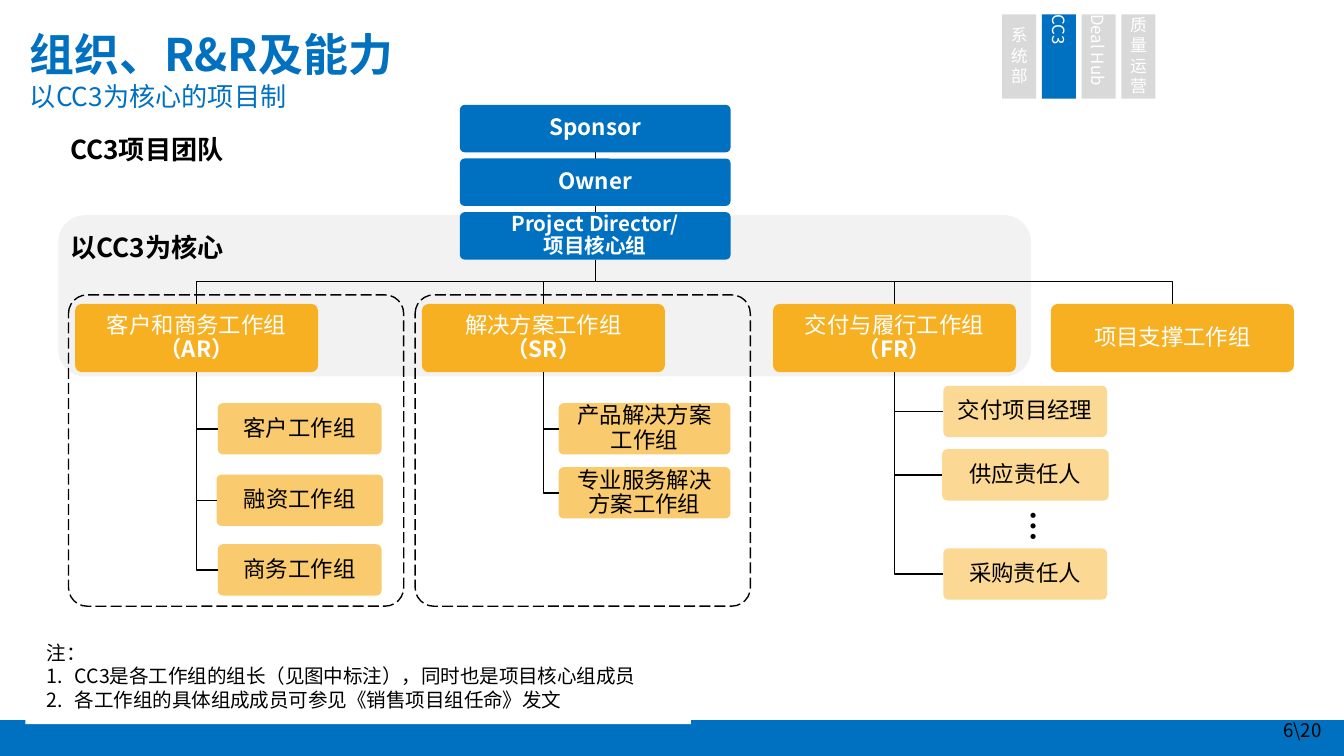
from dataclasses import dataclass

from lxml import etree
from pptx import Presentation
from pptx.dml.color import RGBColor
from pptx.enum.dml import MSO_LINE
from pptx.enum.shapes import MSO_CONNECTOR, MSO_SHAPE
from pptx.enum.text import MSO_ANCHOR, MSO_AUTO_SIZE, PP_ALIGN
from pptx.oxml.ns import qn
from pptx.util import Pt

RECT, ROUND = MSO_SHAPE.RECTANGLE, MSO_SHAPE.ROUNDED_RECTANGLE
STRAIGHT, ELBOW = MSO_CONNECTOR.STRAIGHT, MSO_CONNECTOR.ELBOW
LEFT, CENTER = PP_ALIGN.LEFT, PP_ALIGN.CENTER
TOP, MIDDLE = MSO_ANCHOR.TOP, MSO_ANCHOR.MIDDLE
LONG_DASH = MSO_LINE.LONG_DASH
NO_FIT = MSO_AUTO_SIZE.NONE
SIDE_TOP, SIDE_LEFT, SIDE_BOTTOM = 0, 1, 2

FONT = "Noto Sans CJK SC"
BLUE, ORANGE, AMBER, SAND = "0070C0", "F7B021", "FACB6E", "FBD893"
BLACK, WHITE, PALE, GRAY = "000000", "FFFFFF", "F2F2F2", "D9D9D9"


@dataclass
class Box:
    x: float
    y: float
    w: float
    h: float
    lines: tuple = ()
    fill: str | None = None
    color: str = BLACK
    size: float = 12
    bold: bool = False
    last_bold: bool = False
    align: PP_ALIGN = CENTER
    anchor: MSO_ANCHOR = MIDDLE
    insets: tuple = (0, 3, 0, 3)
    spacing: float | None = 0.9
    vertical: bool = False


@dataclass
class Team:
    x: float
    lines: tuple
    members: tuple = ()
    fill: str = AMBER


@dataclass
class Member:
    x: float
    y: float
    w: float
    lines: tuple


TEAMS = [
    Team(40.2, ("客户和商务工作组", "（AR）"), (
        Member(116.7, 216, 87.7, ("客户工作组",)),
        Member(116, 254.3, 89.2, ("融资工作组",)),
        Member(116.7, 291.6, 87.7, ("商务工作组",)))),
    Team(226, ("解决方案工作组", "（SR）"), (
        Member(299.3, 216, 92, ("产品解决方案", "工作组")),
        Member(299.3, 250.3, 92, ("专业服务解决", "方案工作组")))),
    Team(414.1, ("交付与履行工作组", "（FR）"), (
        Member(505.4, 206.7, 87.7, ("交付项目经理",)),
        Member(504.7, 240.7, 89.2, ("供应责任人",)),
        Member(505.4, 293.8, 87.7, ("采购责任人",))), SAND),
    Team(563, ("项目支撑工作组",)),
]
TABS = [("系统部", GRAY, False), ("CC3", BLUE, True),
        ("Deal Hub", GRAY, True), ("质量运营", GRAY, False)]


def rgb(value: str) -> RGBColor:
    return RGBColor.from_string(value)


def set_font(font, rpr, size: float, color: str, bold: bool) -> None:
    font.size, font.bold, font.name = Pt(size), bold, FONT
    font.color.rgb = rgb(color)
    etree.SubElement(rpr, qn("a:ea")).set("typeface", FONT)


def set_frame(tf, insets: tuple, anchor: MSO_ANCHOR) -> None:
    tf.word_wrap, tf.auto_size, tf.vertical_anchor = True, NO_FIT, anchor
    tf.margin_left, tf.margin_top, tf.margin_right, tf.margin_bottom = map(Pt, insets)


def add_text(sp, box: Box) -> None:
    tf = sp.text_frame
    set_frame(tf, box.insets, box.anchor)
    if box.vertical:
        tf._txBody.bodyPr.set("vert", "eaVert")
    for i, line in enumerate(box.lines):
        p = tf.paragraphs[0] if i == 0 else tf.add_paragraph()
        p.text, p.alignment, p.line_spacing = line, box.align, box.spacing
        bold = box.bold or (box.last_bold and i > 0)
        set_font(p.font, p._p.pPr.find(qn("a:defRPr")), box.size, box.color, bold)


def add_box(shapes, box: Box, kind: MSO_SHAPE = ROUND, radius: float = 0.1):
    sp = shapes.add_shape(kind, Pt(box.x), Pt(box.y), Pt(box.w), Pt(box.h))
    sp.shadow.inherit = False
    sp.line.fill.background()
    if kind == ROUND:
        sp.adjustments[0] = radius
    if box.fill:
        sp.fill.solid()
        sp.fill.fore_color.rgb = rgb(box.fill)
    else:
        sp.fill.background()
    if box.lines:
        add_text(sp, box)
    return sp


def add_label(shapes, box: Box) -> None:
    add_text(shapes.add_textbox(Pt(box.x), Pt(box.y), Pt(box.w), Pt(box.h)), box)


def join(shapes, kind: MSO_CONNECTOR, start, end, side: int):
    cxn = shapes.add_connector(kind, 0, 0, 0, 0)
    cxn.begin_connect(start, SIDE_BOTTOM)
    cxn.end_connect(end, side)
    cxn.line.color.rgb = rgb(BLACK)
    cxn.line.width = Pt(0.75)
    etree.SubElement(cxn._element.spPr, qn("a:effectLst"))
    return cxn


def add_elbow(shapes, start, end, side: int) -> None:
    cxn = join(shapes, ELBOW, start, end, side)
    x1, y1 = start.left + start.width // 2, start.top + start.height
    if side == SIDE_TOP:
        x2, y2 = end.left + end.width // 2, end.top
    else:
        x2, y2 = end.left, end.top + end.height // 2
        cxn._element.spPr.find(qn("a:prstGeom")).set("prst", "bentConnector2")
    w, h = y2 - y1, abs(x2 - x1)
    cxn.left, cxn.top = (x1 + x2 - w) // 2, (y1 + y2 - h) // 2
    cxn.width, cxn.height = w, h
    xfrm = cxn._element.spPr.find(qn("a:xfrm"))
    xfrm.set("rot", str((90 if x2 < x1 else 270) * 60000))
    xfrm.set("flipH", "0" if x2 < x1 else "1")
    xfrm.set("flipV", "0")


def add_title(slide) -> None:
    sp = slide.shapes.title
    sp.left, sp.top, sp.width, sp.height = Pt(13), Pt(12.2), Pt(594), Pt(49.7)
    tf = sp.text_frame
    set_frame(tf, (3, 3, 3, 3), MIDDLE)
    p = tf.paragraphs[0]
    p.alignment = LEFT
    for text, size, bold in (("组织、R&R及能力", 24, True), ("以CC3为核心的项目制", 14, False)):
        if p.runs:
            p.add_line_break()
        r = p.add_run()
        r.text = text
        set_font(r.font, r._r.get_or_add_rPr(), size, BLUE, bold)


def add_leaders(shapes):
    def leader(row: int, lines: tuple, size: float = 12):
        return add_box(shapes, Box(246.4, 56.2 + 28.75 * row, 145, 25.4, lines,
                                   BLUE, WHITE, size, True))

    sponsor = leader(0, ("Sponsor",))
    director = leader(2, ("Project Director/", "项目核心组"), 11)
    join(shapes, STRAIGHT, sponsor, director, SIDE_TOP)
    leader(1, ("Owner",))
    return director


def add_team(shapes, director, team: Team) -> None:
    head = add_box(shapes, Box(team.x, 162.8, 130.2, 36.6, team.lines, ORANGE, WHITE,
                               last_bold=True, insets=(1, 3, 1, 3)))
    add_elbow(shapes, director, head, SIDE_TOP)
    for m in team.members:
        sp = add_box(shapes, Box(m.x, m.y, m.w, 27.5, m.lines, team.fill))
        add_elbow(shapes, head, sp, SIDE_LEFT)


def add_notes_box(shapes) -> None:
    lines = ("注：", "CC3是各工作组的组长（见图中标注），同时也是项目核心组成员",
             "各工作组的具体组成成员可参见《销售项目组任命》发文")
    box = Box(13.6, 336.2, 356.5, 51.8, lines, WHITE, size=10.5, align=LEFT,
              insets=(11.5, 3, 0, 3), spacing=None)
    sp = add_box(shapes, box, RECT)
    for p in sp.text_frame.paragraphs[1:]:
        ppr = p._p.pPr
        ppr.set("marL", str(Pt(15)))
        ppr.set("indent", str(-Pt(15)))
        num = etree.Element(qn("a:buAutoNum"), type="arabicPeriod")
        ppr.find(qn("a:defRPr")).addprevious(num)


def add_tabs(shapes) -> None:
    group = shapes.add_group_shape()
    for i, (text, fill, vertical) in enumerate(TABS):
        lines = (text,) if vertical else tuple(text)
        add_box(group.shapes, Box(536.9 + 21.3 * i, 7.7, 18.2, 45.2, lines, fill, WHITE, 9,
                                  insets=(0, 0, 0, 1.4), spacing=None, vertical=vertical), RECT)


def main() -> None:
    prs = Presentation()
    prs.slide_width, prs.slide_height = Pt(720), Pt(405)
    slide = prs.slides.add_slide(prs.slide_layouts[5])
    shapes = slide.shapes
    add_title(slide)
    add_box(shapes, Box(-2, 385.8, 722, 20, fill=BLUE), RECT)
    add_box(shapes, Box(31.2, 115.3, 521.2, 86.4, fill=PALE), radius=0.167)
    director = add_leaders(shapes)
    for team in TEAMS:
        add_team(shapes, director, team)
    for x in (36.7, 222.4):
        sp = add_box(shapes, Box(x, 158, 179.6, 166.8), radius=0.06)
        sp.line.color.rgb = rgb(BLACK)
        sp.line.width = Pt(0.75)
        sp.line.dash_style = LONG_DASH
    add_notes_box(shapes)
    inset = (6.5, 3, 6.5, 3)
    for x, y, w, h, text, size, vertical in (
            (31, 68.4, 118, 28, "CC3项目团队", 14, False),
            (31, 121, 97.2, 23, "以CC3为核心", 14, False),
            (537.8, 270.7, 33, 23, "…", 17, True)):
        add_label(shapes, Box(x, y, w, h, (text,), size=size, bold=True, align=LEFT, anchor=TOP,
                              insets=inset, spacing=None, vertical=vertical))
    add_label(shapes, Box(680.4, 380.2, 51, 21.6, ("6\\20",), size=10, align=LEFT,
                          insets=(7.2, 3.6, 7.2, 3.6), spacing=None))
    add_tabs(shapes)
    prs.save("out.pptx")


if __name__ == "__main__":
    main()
